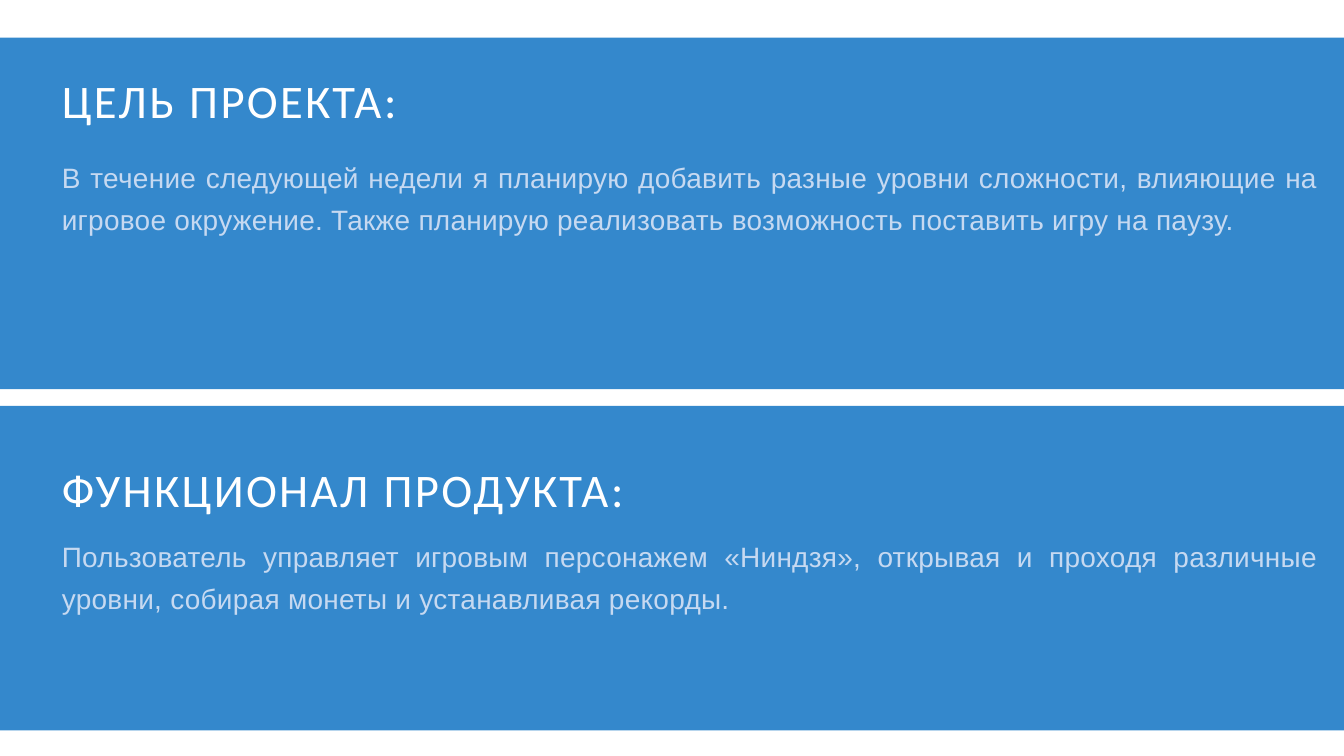
from dataclasses import dataclass

from pptx import Presentation
from pptx.dml.color import RGBColor
from pptx.enum.shapes import MSO_SHAPE
from pptx.enum.text import MSO_AUTO_SIZE, PP_ALIGN
from pptx.util import Inches, Pt

RECTANGLE = MSO_SHAPE.RECTANGLE
FIT_SHAPE = MSO_AUTO_SIZE.SHAPE_TO_FIT_TEXT
LEFT, JUSTIFY = PP_ALIGN.LEFT, PP_ALIGN.JUSTIFY


@dataclass(frozen=True)
class TextStyle:
    font: str
    size: int
    color: str
    line_points: int
    tracking: float
    align: PP_ALIGN


class Theme:
    panel = "3488CC"
    heading = TextStyle("Calibri", 50, "FFFFFF", 70, 2.5, LEFT)
    body = TextStyle("Arial", 30, "C6D9F1", 45, 0.3, JUSTIFY)


TEXT_LEFT = 0.92

# Boxes are (left, top, width, height); text tops are measured from the panel.
SECTIONS = [
    {
        "box": (-0.02, 0.56, 20.02, 5.23),
        "heading": "ЦЕЛЬ ПРОЕКТА:",
        "heading_box": (0.37, 19.33, 1.11),
        "body": "В течение следующей недели я планирую добавить разные уровни "
                "сложности, влияющие на игровое окружение. Также планирую "
                "реализовать возможность поставить игру на паузу.",
        "body_box": (1.71, 18.71, 1.89),
    },
    {
        "box": (0, 6.04, 20, 4.83),
        "heading": "ФУНКЦИОНАЛ ПРОДУКТА:",
        "heading_box": (0.68, 18.67, 0.9),
        "body": "Пользователь управляет игровым персонажем «Ниндзя», открывая "
                "и проходя различные уровни, собирая монеты и устанавливая "
                "рекорды.",
        "body_box": (1.87, 18.71, 1.2),
    },
]


def add_panel(page, box):
    panel = page.shapes.add_shape(RECTANGLE, *map(Inches, box))
    panel.shadow.inherit = False
    panel.fill.solid()
    panel.fill.fore_color.rgb = RGBColor.from_string(Theme.panel)
    panel.line.fill.background()


def add_text(page, box, text, style):
    frame = page.shapes.add_textbox(*map(Inches, box)).text_frame
    frame_format = {
        "word_wrap": True, "auto_size": FIT_SHAPE,
        "margin_left": 0, "margin_top": 0,
        "margin_right": 0, "margin_bottom": 0,
    }
    for name, value in frame_format.items():
        setattr(frame, name, value)
    para = frame.paragraphs[0]
    para.alignment = style.align
    para.line_spacing = Pt(style.line_points)
    span = para.add_run()
    span.text = text
    span.font.name = style.font
    span.font.size = Pt(style.size)
    span.font.color.rgb = RGBColor.from_string(style.color)
    # Letter spacing is stored in hundredths of a point.
    span.font._element.set("spc", str(round(style.tracking * 100)))


def add_section(page, section):
    """Place a full-width panel with its heading and body text."""
    panel_top = section["box"][1]
    add_panel(page, section["box"])
    for part, style in (("heading", Theme.heading), ("body", Theme.body)):
        offset, width, height = section[f"{part}_box"]
        box = (TEXT_LEFT, panel_top + offset, width, height)
        add_text(page, box, section[part], style)


def main():
    deck = Presentation()
    deck.slide_width, deck.slide_height = Inches(20), Inches(11.25)
    page = deck.slides.add_slide(deck.slide_layouts[6])
    for section in SECTIONS:
        add_section(page, section)
    deck.save("out.pptx")


if __name__ == "__main__":
    main()
